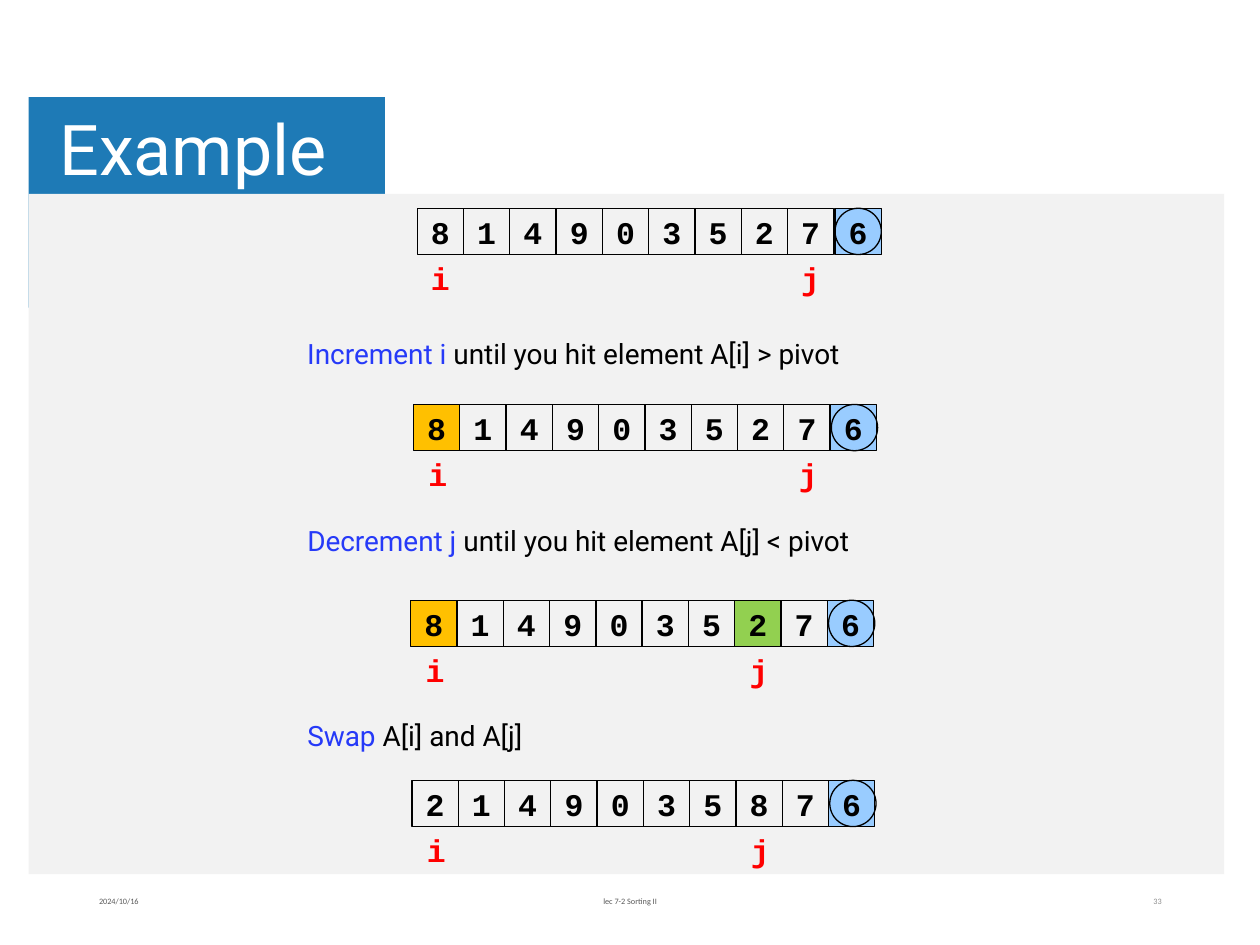
import pptx
import pptx.util
import pptx.dml.color
import pptx.enum.shapes
import pptx.enum.text

Pt = pptx.util.Pt
SHAPES = pptx.enum.shapes.MSO_SHAPE
ALIGN = pptx.enum.text.PP_ALIGN
ANCHOR = pptx.enum.text.MSO_ANCHOR

CELL = 26.45
CIRCLE_GAP = 0.7
BLACK, RED, BLUE = "000000", "FF0000", "263AF8"
ORANGE, GREEN, SKY = "FFC000", "92D050", "99CCFF"


def color(hex_code):
    return pptx.dml.color.RGBColor.from_string(hex_code)


def add_panel(slide, kind, left, top, width, height, fill=None, line=None):
    panel = slide.shapes.add_shape(kind, Pt(left), Pt(top), Pt(width), Pt(height))
    panel.shadow.inherit = False
    if fill:
        panel.fill.solid()
        panel.fill.fore_color.rgb = color(fill)
    else:
        panel.fill.background()
    if line:
        panel.line.color.rgb = color(line)
        panel.line.width = Pt(0.75)
    else:
        panel.line.fill.background()
    return panel


def write(holder, text, font, size, ink, align=ALIGN.LEFT, bold=False, wrap=True):
    frame = holder.text_frame
    frame.word_wrap = wrap
    frame.vertical_anchor = ANCHOR.MIDDLE
    line = frame.paragraphs[0]
    line.text = text
    line.alignment = align
    line.font.name = font
    line.font.size = Pt(size)
    line.font.bold = bold
    line.font.color.rgb = color(ink)
    return frame


def add_label(slide, left, top, width, height, *style, **options):
    label = slide.shapes.add_textbox(Pt(left), Pt(top), Pt(width), Pt(height))
    return write(label, *style, **options)


def write_code(holder, text, ink):
    write(holder, text, "Courier New", 18, ink, ALIGN.CENTER, bold=True, wrap=False)


def add_array(slide, left, top, digits, j, fills, pivot_gap=0, index_gap=CIRCLE_GAP):
    pivot = len(digits) - 1
    for position, digit in enumerate(digits):
        gap = pivot_gap if position == pivot else 0
        fill = SKY if position == pivot else fills.get(position)
        cell = add_panel(slide, SHAPES.RECTANGLE, left + position * CELL + gap, top,
                         CELL, CELL, fill, BLACK)
        write_code(cell, digit, BLACK)
    add_panel(slide, SHAPES.OVAL, left + pivot * CELL + CIRCLE_GAP, top,
              CELL, CELL, line=BLACK)
    for name, position in (("i", 0), ("j", j)):
        index = slide.shapes.add_textbox(Pt(left + position * CELL + index_gap),
                                         Pt(top + CELL), Pt(CELL), Pt(CELL))
        write_code(index, name, RED)


def add_step(slide, top, width, action, rest):
    step = slide.shapes.add_textbox(Pt(132.5), Pt(top), Pt(width), Pt(26.6))
    step.text_frame.word_wrap = True
    line = step.text_frame.paragraphs[0]
    line.level = 1
    properties = line._p.get_or_add_pPr()
    properties.set("marL", str(Pt(36)))
    properties.set("indent", "0")
    line.font.name = "Roboto"
    line.font.size = Pt(16)
    for text, ink in ((action, BLUE), (rest, BLACK)):
        run = line.add_run()
        run.text = text
        run.font.color.rgb = color(ink)


def add_title(slide, text):
    frame = add_label(slide, 28.8, 59, 540.7, 56.9, text, "Roboto", 40, "FFFFFF")
    frame.margin_left = frame.margin_right = Pt(5.2)
    frame.margin_top = frame.margin_bottom = Pt(2.6)
    frame.paragraphs[0].line_spacing = 0.9


def main():
    deck = pptx.Presentation()
    deck.slide_width, deck.slide_height = Pt(720), Pt(540)
    slide = deck.slides.add_slide(deck.slide_layouts[6])

    add_panel(slide, SHAPES.RECTANGLE, 16.4, 55.6, 203.6, 120.2, "1E7AB6")
    add_panel(slide, SHAPES.RECTANGLE, 16.4, 110.8, 683.2, 388.7, "F2F2F2")
    add_title(slide, "Example")

    footers = (
        (49.5, 162, "2024/10/16", "595959", ALIGN.LEFT),
        (238.5, 243, "lec 7-2 Sorting II", "595959", ALIGN.CENTER),
        (508.9, 162, "33", "8C8C8C", ALIGN.RIGHT),
    )
    for left, width, text, ink, align in footers:
        add_label(slide, left, 500.5, width, 28.8, text, "Calibri", 4.7, ink, align)

    add_array(slide, 238.4, 119, "8149035276", 8, {}, CIRCLE_GAP, 0)
    add_array(slide, 236.3, 231.1, "8149035276", 8, {0: ORANGE})
    add_array(slide, 234.7, 343, "8149035276", 7, {0: ORANGE, 7: GREEN})
    add_array(slide, 235.4, 445.9, "2149035876", 7, {})

    add_step(slide, 188.6, 403.2, "Increment i", " until you hit element A[i] > pivot")
    add_step(slide, 295.4, 409, "Decrement j ", "until you hit element A[j] < pivot")
    add_step(slide, 407, 198, "Swap", " A[i] and A[j]")

    deck.save("out.pptx")


if __name__ == "__main__":
    main()
